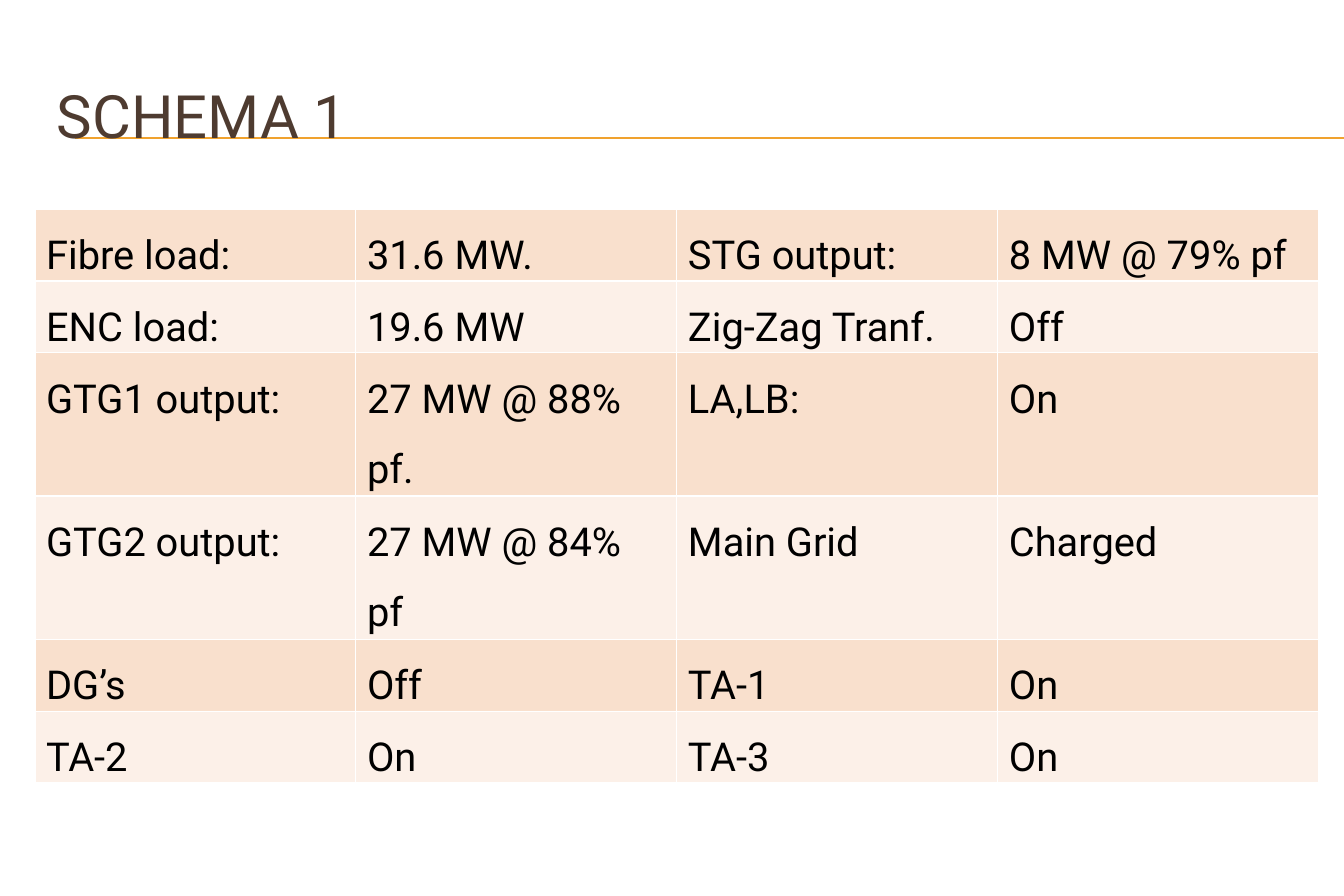
from dataclasses import dataclass

from lxml import etree
from pptx import Presentation, util as u
from pptx.dml.color import RGBColor
from pptx.enum import shapes, text
from pptx.oxml.ns import qn


@dataclass(frozen=True)
class Theme:
    font: str = "Roboto"
    title_size: int = 36
    cell_size: int = 24
    title: str = "4E3B30"
    body: str = "000000"
    rule: str = "F0A22E"
    border: str = "FFFFFF"
    bands: tuple = ("F9E0CD", "FCF0E8")


READINGS = [
    ("Fibre load:", "31.6 MW.", "STG output:", "8 MW @ 79% pf"),
    ("ENC load:", "19.6 MW", "Zig-Zag Tranf.", "Off"),
    ("GTG1 output:", "27 MW @ 88% pf.", "LA,LB:", "On"),
    ("GTG2 output:", "27 MW @ 84% pf", "Main Grid", "Charged"),
    ("DG’s", "Off", "TA-1", "On"),
    ("TA-2", "On", "TA-3", "On"),
]


def apply(target, values):
    for name, value in values.items():
        setattr(target, name, value)


class SlideBuilder:
    def __init__(self, slide, theme):
        self.slide, self.theme = slide, theme

    def add_words(self, frame, words, size, color, spacing=1.0):
        paragraph = frame.paragraphs[0]
        paragraph.line_spacing = spacing
        run = paragraph.add_run()
        run.text = words
        apply(run.font, {"name": self.theme.font, "size": u.Pt(size)})
        run.font.color.rgb = RGBColor.from_string(color)

    def rule(self, left, right, y):
        rule = self.slide.shapes.add_connector(
            shapes.MSO_CONNECTOR.STRAIGHT, u.Cm(left), u.Cm(y), u.Cm(right), u.Cm(y))
        rule.line.width = u.Pt(0.75)
        rule.line.color.rgb = RGBColor.from_string(self.theme.rule)
        etree.SubElement(rule._element.spPr, qn("a:effectLst"))

    def title(self, words, left, top, width, height):
        heading = self.slide.shapes.add_textbox(*map(u.Cm, (left, top, width, height)))
        apply(heading.text_frame, {
            "word_wrap": True, "vertical_anchor": text.MSO_ANCHOR.MIDDLE})
        self.add_words(heading.text_frame, words, self.theme.title_size, self.theme.title)

    def table(self, rows, left, top, width, row_height):
        frame = self.slide.shapes.add_table(
            len(rows), len(rows[0]), u.Cm(left), u.Cm(top),
            u.Cm(width), u.Cm(row_height * len(rows)))
        readings = frame.table
        apply(readings, {"first_row": False, "horz_banding": False})
        for r, row in enumerate(rows):
            for c, words in enumerate(row):
                self.cell(readings.cell(r, c), words, self.theme.bands[r % 2])

    def cell(self, cell, words, band):
        apply(cell, {"margin_left": u.Cm(0.24), "margin_right": u.Cm(0.24),
                     "margin_top": 0, "margin_bottom": 0})
        self.add_words(cell.text_frame, words, self.theme.cell_size, self.theme.body, 1.5)
        # Borders come before the fill in the cell properties
        properties = cell._tc.get_or_add_tcPr()
        for side in ("L", "R", "T", "B"):
            border = etree.SubElement(properties, qn("a:ln" + side), w=str(u.Pt(1)))
            fill = etree.SubElement(border, qn("a:solidFill"))
            etree.SubElement(fill, qn("a:srgbClr"), val=self.theme.border)
        cell.fill.solid()
        cell.fill.fore_color.rgb = RGBColor.from_string(band)


def main():
    deck = Presentation()
    apply(deck, {"slide_width": u.Cm(28.58), "slide_height": u.Cm(19.05)})
    page = SlideBuilder(deck.slides.add_slide(deck.slide_layouts[6]), Theme())

    # Double rule behind the title
    for y in (2.92, 2.95):
        page.rule(1.6, 28.58, y)
    page.title("SCHEMA 1", 0.96, 1.27, 27.15, 2.34)

    # Plant readings
    page.table(READINGS, 0.74, 4.45, 27.3, 1.48)

    deck.save("out.pptx")


if __name__ == "__main__":
    main()
